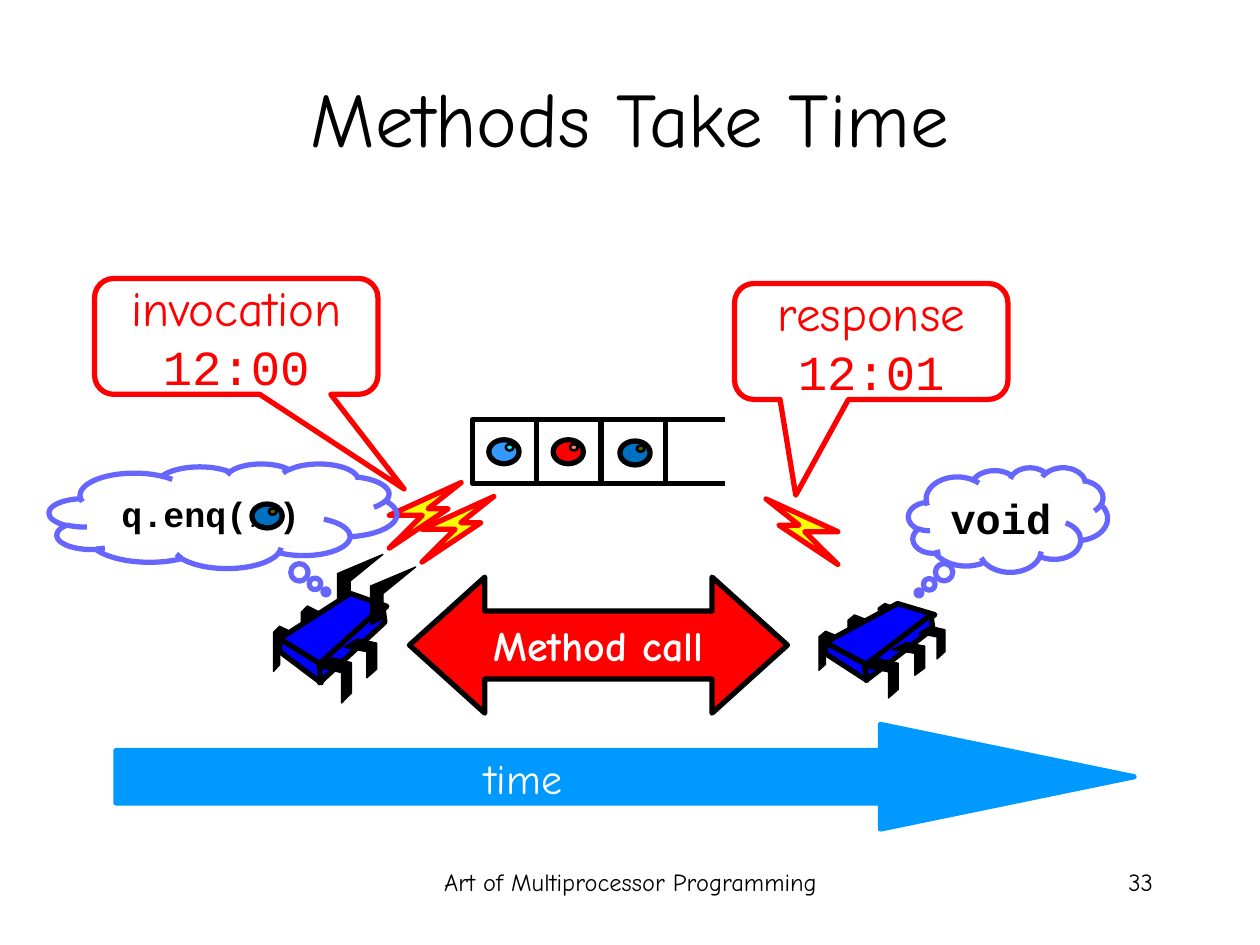
from dataclasses import dataclass

from lxml.etree import SubElement
from pptx import Presentation
from pptx.dml.color import RGBColor as RGB
from pptx.enum.shapes import MSO_CONNECTOR as Link, MSO_SHAPE as Kind
from pptx.enum.text import MSO_ANCHOR as Anchor, PP_ALIGN as Align
from pptx.oxml.ns import qn
from pptx.util import Inches, Pt


@dataclass(frozen=True)
class Theme:
    sans: str = "Comic Neue"
    mono: str = "Courier New"
    black: str = "000000"
    white: str = "FFFFFF"
    red: str = "FF0000"
    yellow: str = "FFFF00"
    bug: str = "0000FF"
    time: str = "0099FF"
    cloud: str = "6666FF"
    sky: str = "3399FF"
    cyan: str = "00FFFF"
    pink: str = "FF7C80"
    blue: str = "0070C0"
    olive: str = "4C6600"
    title: int = 44
    call: int = 28
    label: int = 24
    code: int = 20
    foot: int = 14
    dots: int = 10
    thick: float = 3
    mid: float = 1.5
    thin: float = 0.75


LEG = [(1, .14), (.33, 0), (0, .14), (0, 1), (.33, .85), (.33, .28), (1, .42)]
KNEE = [(.42, 0), (0, .22), (.7, .33), (.7, 1), (1, .78), (1, .11)]
HORN = [(0, 1), (.28, .89), (.28, .46), (1, 0), (0, .33)]
BACK = [(.66, 0), (0, .63), (.37, 1), (1, .18)]
SIDE = [(.96, 0), (0, .76), (.01, 1), (.99, .21)]
FRONT = [(0, 0), (0, .29), (1, 1), (.94, .55)]
BOLT = [(0, 1), (.46, .5), (0, .5), (1, 0), (.54, .4), (.82, .4)]


def write(frame, text, font, size, color, bold=False, align=Align.CENTER,
          anchor=Anchor.MIDDLE, wrap=True):
    frame.word_wrap = wrap
    frame.vertical_anchor = anchor
    para = frame.paragraphs[0]
    para.alignment = align
    run = para.add_run()
    run.text = text
    run.font.name = font
    run.font.size = Pt(size)
    run.font.bold = bold
    run.font.color.rgb = RGB.from_string(color)


class Board:
    """Draws styled elements on the current slide."""

    def __init__(self, slide, theme):
        self.slide = slide
        self.theme = theme
        self.shapes = slide.shapes

    def paint(self, shape, fill, line, width):
        shape.shadow.inherit = False
        if fill:
            shape.fill.solid()
            shape.fill.fore_color.rgb = RGB.from_string(fill)
        else:
            shape.fill.background()
        shape.line.color.rgb = RGB.from_string(line)
        shape.line.width = Pt(width)
        return shape

    def title(self, text, box):
        head = self.shapes.title
        head.left, head.top, head.width, head.height = map(Inches, box)
        t = self.theme
        write(head.text_frame, text, t.sans, t.title, t.black)

    def text(self, text, box, size, color, **form):
        frame = self.shapes.add_textbox(*map(Inches, box)).text_frame
        write(frame, text, self.theme.sans, size, color, anchor=Anchor.TOP, **form)

    def shape(self, kind, box, fill=None, line=None, width=None, adj=()):
        t = self.theme
        item = self.shapes.add_shape(kind, *map(Inches, box))
        for i, value in enumerate(adj):
            item.adjustments[i] = value
        return self.paint(item, fill, line or t.black, width or t.thick)

    def outline(self, points, box, fill, line, width, flip=False):
        x, y, w, h = box
        spots = [(Inches(x + w * (1 - a if flip else a)), Inches(y + h * b))
                 for a, b in points]
        pen = self.shapes.build_freeform(*spots[0], scale=1)
        pen.add_line_segments(spots[1:], close=True)
        self.paint(pen.convert_to_shape(), fill, line, width)

    def line(self, x, y, end):
        t = self.theme
        rail = self.shapes.add_connector(
            Link.STRAIGHT, Inches(x), Inches(y), Inches(end), Inches(y))
        rail.line.color.rgb = RGB.from_string(t.black)
        rail.line.width = Pt(t.thick)
        SubElement(rail._element.spPr, qn("a:effectLst"))

    def eye(self, x, y, fill, glint):
        self.shape(Kind.OVAL, (x, y, .24, .19), fill)
        self.shape(Kind.OVAL, (x + .135, y + .035, .06, .05), glint,
                   width=self.theme.mid)

    def limbs(self, points, spots, w, h):
        t = self.theme
        for x, y in spots:
            self.outline(points, (x, y, w, h), t.black, t.black, t.thin)

    def body(self, back, side, front):
        t = self.theme
        for points, box in ((BACK, back), (SIDE, side), (FRONT, front)):
            self.outline(points, box, t.bug, t.black, t.thick)

    def bolt(self, x, y, flip=False):
        t = self.theme
        self.outline(BOLT, (x, y, .57, .52), t.yellow, t.red, t.thick, flip)

    def callout(self, name, hour, box, adj):
        t = self.theme
        frame = self.shape(Kind.ROUNDED_RECTANGULAR_CALLOUT, box,
                           line=t.red, adj=adj).text_frame
        write(frame, name + " ", t.sans, t.call, t.red)
        write(frame, hour, t.mono, t.call, t.red)

    def cloud(self, parts, box, adj):
        t = self.theme
        frame = self.shape(Kind.CLOUD_CALLOUT, box, line=t.cloud, adj=adj).text_frame
        for text, size in parts:
            write(frame, text, t.mono, size, t.black, bold=True)


def queue(b):
    t = b.theme
    left, top, cell = 3.75, 3.33, .51
    for i in range(3):
        b.shape(Kind.RECTANGLE, (left + i * cell, top, cell, cell))
    for y in (top, top + cell):
        b.line(5.24, y, 5.75)
    b.eye(3.88, 3.49, t.sky, t.cyan)
    b.eye(4.39, 3.49, t.red, t.pink)
    b.eye(4.92, 3.5, t.blue, t.olive)


def caller(b):
    t = b.theme
    b.callout("invocation", "12:00", (.75, 2.21, 2.25, .92), (.592, 1.316, .167))
    b.bolt(3.09, 3.83)
    b.limbs(HORN, [(2.68, 4.4)], .36, .46)
    b.limbs(LEG, [(2.17, 4.97), (2.39, 4.81)], .15, .36)
    b.body((2.22, 4.71, .85, .57), (2.53, 4.81, .53, .61), (2.22, 5.07, .33, .35))
    b.limbs(KNEE, [(2.53, 5.22)], .26, .36)
    b.limbs(KNEE, [(2.73, 5.07)], .26, .31)
    b.limbs(HORN, [(2.94, 4.5)], .36, .46)
    b.bolt(3.35, 3.94)
    b.eye(2, 4, t.blue, t.olive)
    b.cloud([("q.enq(", t.code), ("...", t.dots), (")", t.code)],
            (.39, 3.68, 2.76, .83), (.296, .727))


def reply(b):
    t = b.theme
    b.limbs(LEG, [(6.5, 5.01), (6.73, 4.88)], .16, .31)
    b.limbs(LEG, [(6.97, 4.79)], .16, .26)
    b.body((6.55, 4.79, .87, .49), (6.87, 4.88, .54, .52), (6.55, 5.1, .33, .3))
    b.limbs(KNEE, [(6.87, 5.23)], .26, .31)
    b.limbs(KNEE, [(7.08, 5.1)], .26, .26)
    b.limbs(KNEE, [(7.29, 4.97)], .21, .26)
    b.cloud([("void", t.label)], (7.21, 3.71, 1.58, .83), (-.447, .7))
    b.bolt(6.08, 3.96, flip=True)
    b.callout("response", "12:01", (5.83, 2.25, 2.17, .92), (-.276, 1.326, .167))


def main():
    deck = Presentation()
    deck.slide_width, deck.slide_height = Inches(10), Inches(7.5)
    t = Theme()
    b = Board(deck.slides.add_slide(deck.slide_layouts[5]), t)
    b.title("Methods Take Time", (.5, .3, 9, 1.25))
    b.text("Art of Multiprocessor Programming", (3.42, 6.83, 3.17, .5), t.foot, t.black)
    b.text("33", (7.17, 6.83, 2.08, .5), t.foot, t.black, align=Align.RIGHT)
    queue(b)
    span = b.shape(Kind.LEFT_RIGHT_ARROW, (3.25, 4.58, 3, 1.08), t.red, adj=(.5, .554))
    write(span.text_frame, "Method call", t.sans, t.label, t.white, bold=True, wrap=False)
    caller(b)
    b.shape(Kind.RIGHT_ARROW, (.92, 5.75, 8.08, .83), t.time, t.time, adj=(.5, 2.425))
    b.text("time", (3.67, 5.92, .89, .5), t.label, t.white, align=Align.RIGHT, wrap=False)
    reply(b)
    deck.save("out.pptx")


if __name__ == "__main__":
    main()
